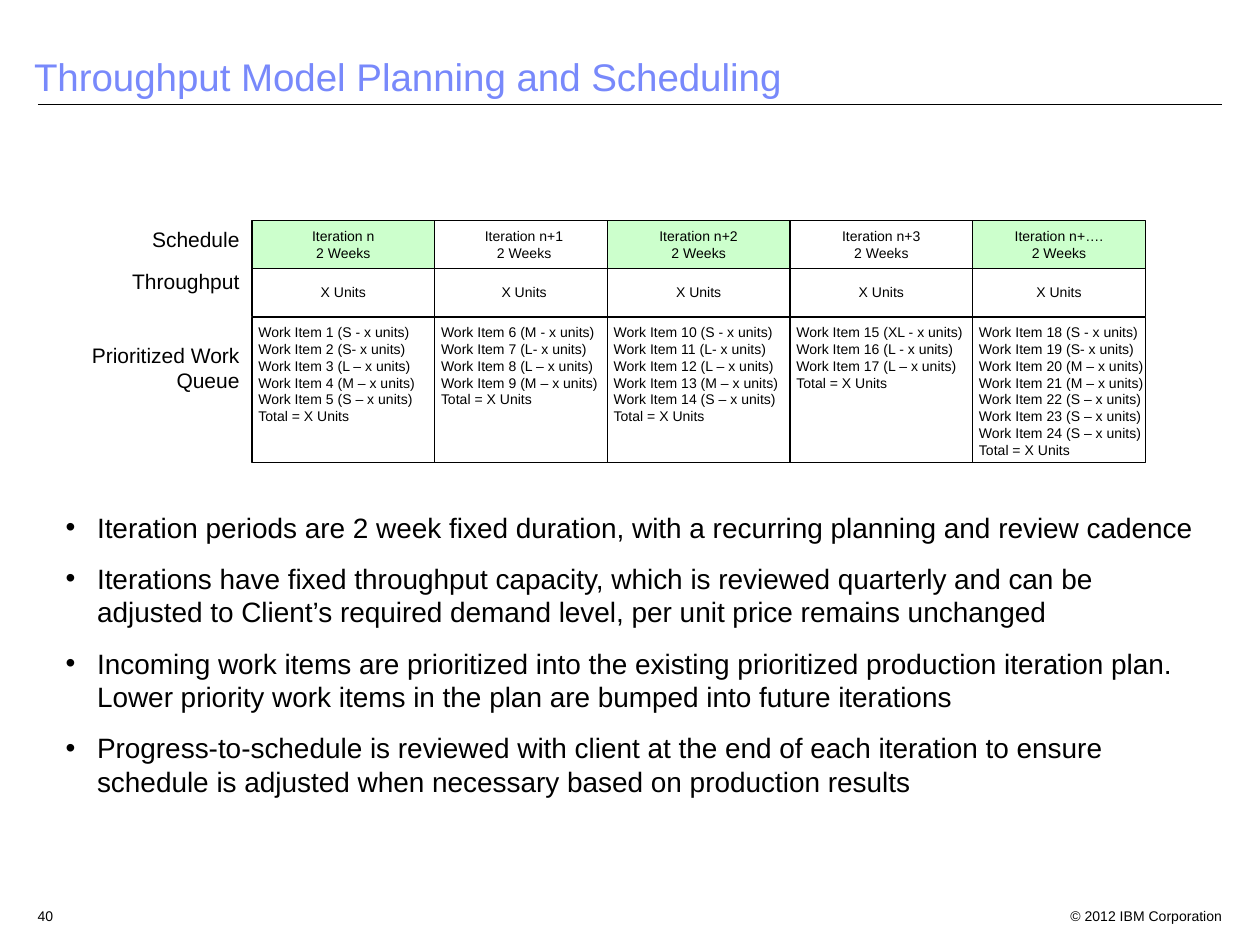
from itertools import accumulate

from pptx import Presentation
from pptx.dml.color import RGBColor
from pptx.enum.shapes import MSO_CONNECTOR, MSO_SHAPE
from pptx.enum.text import MSO_ANCHOR as ANCHOR, MSO_AUTO_SIZE, PP_ALIGN as ALIGN
from pptx.oxml.ns import qn
from pptx.util import Inches, Pt
from lxml import etree

# Colours
BLACK = RGBColor(0x00, 0x00, 0x00)
WHITE = RGBColor(0xFF, 0xFF, 0xFF)
GREEN = RGBColor(0xCC, 0xFF, 0xCC)
BLUE = RGBColor(0x78, 0x89, 0xFB)

# Content
TITLE = "Throughput Model Planning and Scheduling"
ITERATIONS = [  # name, sizes of the work items as shown
    ("Iteration n", ["S - ", "S- ", "L – ", "M – ", "S – "]),
    ("Iteration n+1", ["M - ", "L- ", "L – ", "M – "]),
    ("Iteration n+2", ["S - ", "L- ", "L – ", "M – ", "S – "]),
    ("Iteration n+3", ["XL - ", "L - ", "L – "]),
    ("Iteration n+….", ["S - ", "S- ", "M – ", "M – ", "S – ", "S – ", "S – "]),
]
ROW_LABELS = [  # text, left, top, width, height
    ("Schedule", 0.42, 1.75, 1.58, 0.3),
    ("Throughput", 0.42, 2.08, 1.58, 0.3),
    ("Prioritized Work Queue", 0.58, 2.67, 1.42, 0.5),
]
FOOTERS = [  # text, left, width, alignment
    ("40", 0.2, 0.4, ALIGN.LEFT),
    ("© 2012 IBM Corporation", 8.3, 1.5, ALIGN.RIGHT),
]
BULLETS = [
    "Iteration periods are 2 week fixed duration, with a recurring planning and review cadence",
    "Iterations have fixed throughput capacity, which is reviewed quarterly and can be "
    "adjusted to Client’s required demand level, per unit price remains unchanged",
    "Incoming work items are prioritized into the existing prioritized production iteration "
    "plan. Lower priority work items in the plan are bumped into future iterations",
    "Progress-to-schedule is reviewed with client at the end of each iteration to ensure "
    "schedule is adjusted when necessary based on production results",
]

# Grid
COL_LEFTS = [2, 3.45, 4.82, 6.27, 7.72]
COL_WIDTHS = [1.45, 1.42, 1.45, 1.45, 1.37]
ROW_TOPS = [1.75, 2.13, 2.52]
ROW_HEIGHTS = [0.38, 0.38, 1.15]


def write(sp, lines, size, align=ALIGN.LEFT, color=BLACK, anchor=ANCHOR.TOP, wrap=True):
    tf = sp.text_frame
    tf.text = "\n".join(lines)
    tf.auto_size = MSO_AUTO_SIZE.NONE
    tf.word_wrap = wrap
    tf.vertical_anchor = anchor
    for p in tf.paragraphs:
        p.alignment = align
        p.font.size = Pt(size)
        p.font.name = "Arial"
        p.font.color.rgb = color
    return tf


def place(sp, *box):
    sp.left, sp.top, sp.width, sp.height = map(Inches, box)


def add_label(text, box, size, align):
    write(slide.shapes.add_textbox(*map(Inches, box)), [text], size, align)


def add_cell(col, row, lines, fill):
    box = COL_LEFTS[col], ROW_TOPS[row], COL_WIDTHS[col], ROW_HEIGHTS[row]
    sp = slide.shapes.add_shape(MSO_SHAPE.RECTANGLE, *map(Inches, box))
    sp.shadow.inherit = False
    sp.fill.solid()
    sp.fill.fore_color.rgb = fill
    sp.line.color.rgb = BLACK
    sp.line.width = Pt(0.75)
    if row < 2:
        write(sp, lines, 8, ALIGN.CENTER, anchor=ANCHOR.MIDDLE, wrap=False)
    else:
        write(sp, lines, 8, wrap=False).margin_left = Inches(0.05)


prs = Presentation()
prs.slide_width, prs.slide_height = Inches(10), Inches(7.5)
slide = prs.slides.add_slide(prs.slide_layouts[1])

# Title and rule below it
title = slide.shapes.title
place(title, 0.17, 0.42, 9, 0.42)
write(title, [TITLE], 22, color=BLUE, anchor=ANCHOR.BOTTOM).paragraphs[0].line_spacing = 0.9
rule = slide.shapes.add_connector(
    MSO_CONNECTOR.STRAIGHT, *map(Inches, (0.3, 0.83, 9.7, 0.83)))
rule.line.color.rgb = BLACK
rule.line.width = Pt(0.75)
etree.SubElement(rule._element.spPr, qn("a:effectLst"))

# Iteration grid: work items are numbered on from one column to the next
firsts = accumulate((len(sizes) for _, sizes in ITERATIONS), initial=1)
for col, ((name, sizes), first) in enumerate(zip(ITERATIONS, firsts)):
    queue = [f"Work Item {n} ({size}x units)" for n, size in enumerate(sizes, first)]
    add_cell(col, 0, [name, "2 Weeks"], WHITE if col % 2 else GREEN)
    add_cell(col, 1, ["X Units"], WHITE)
    add_cell(col, 2, queue + ["Total = X Units"], WHITE)

# Row labels
for text, *box in ROW_LABELS:
    add_label(text, box, 12, ALIGN.RIGHT)

# Bullets
body = slide.placeholders[1]
place(body, 0.42, 4, 9.25, 2.39)
for i, p in enumerate(write(body, BULLETS, 16).paragraphs):
    p.space_before = Pt(10 if i else 0)
    pPr = p._p.get_or_add_pPr()
    pPr.set("marL", str(Inches(0.25)))
    pPr.set("indent", str(-Inches(0.25)))

# Footer
for text, left, width, align in FOOTERS:
    add_label(text, (left, 7.15, width, 0.2), 8, align)

prs.save("out.pptx")
